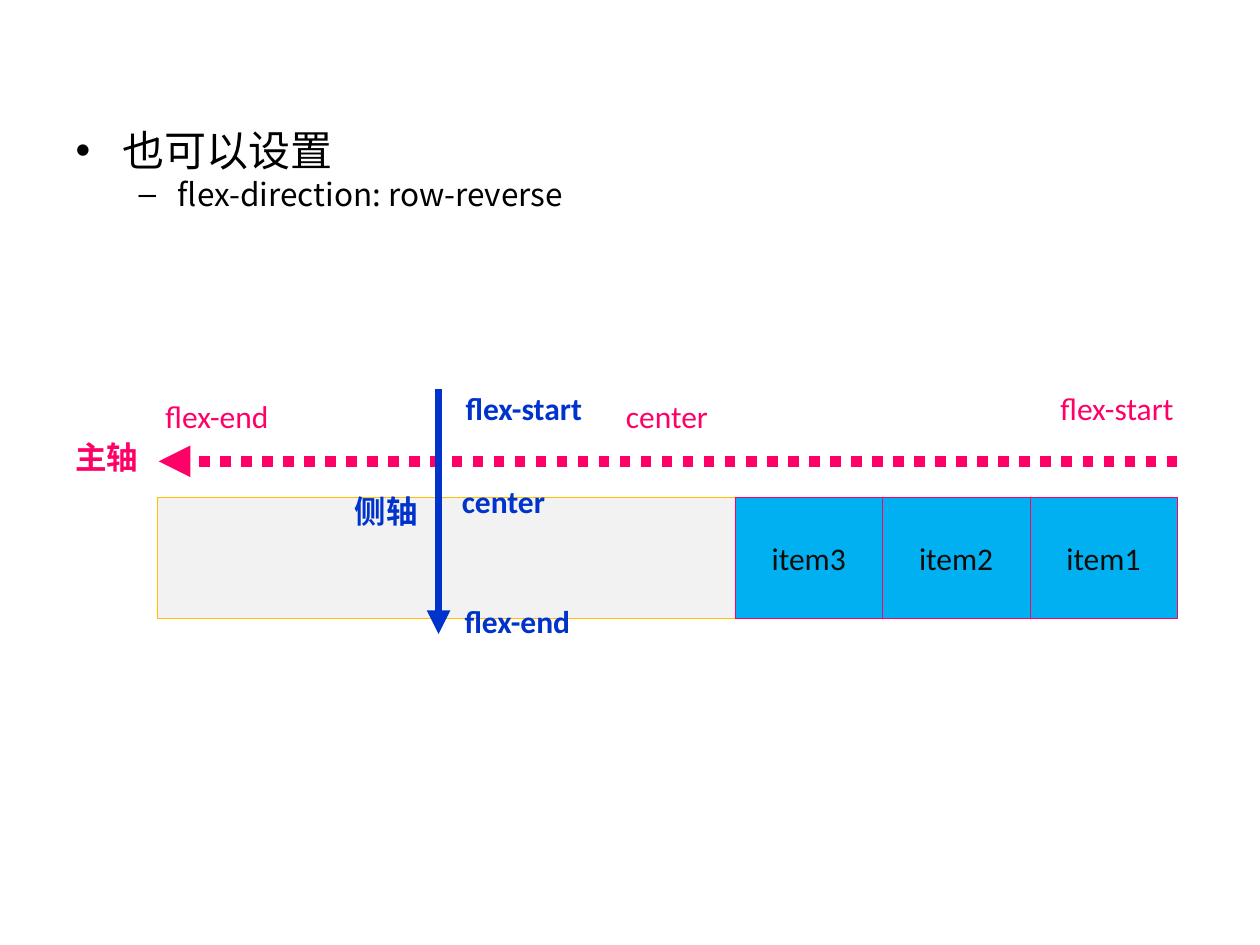
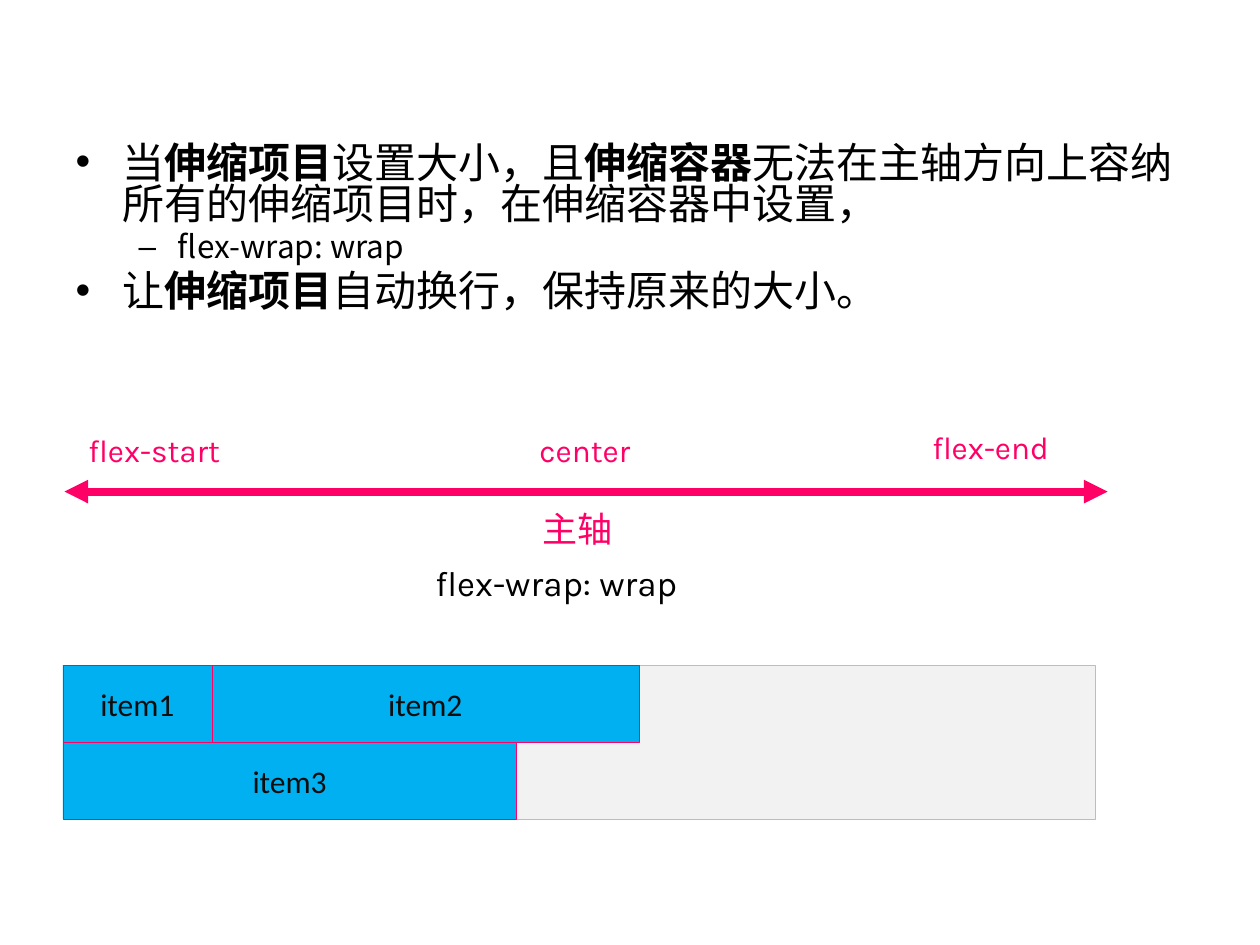
from pptx import Presentation
from pptx.dml.color import RGBColor
from pptx.enum.dml import MSO_LINE
from pptx.enum.shapes import MSO_CONNECTOR, MSO_SHAPE
from pptx.enum.text import MSO_ANCHOR, MSO_AUTO_SIZE, PP_ALIGN
from pptx.oxml.ns import qn
from pptx.util import Cm, Pt
from lxml.etree import SubElement

BLACK = RGBColor(0x00, 0x00, 0x00)
ITEM_TEXT = RGBColor(0x0D, 0x0D, 0x0D)
ITEM_FILL = RGBColor(0x00, 0xB0, 0xF0)
BOX_FILL = RGBColor(0xF2, 0xF2, 0xF2)
BOX_LINE = RGBColor(0xFF, 0xC0, 0x00)
PINK = RGBColor(0xFF, 0x00, 0x66)
BLUE = RGBColor(0x00, 0x33, 0xCC)

LATIN, KARLA = "Calibri", "Karla"
CJK, CJK_JP = "Noto Sans CJK SC", "Noto Sans CJK JP"
LABEL_HEIGHT = 1.02
LEVEL_SIZES = (24, 18)


def add_run(p, text, size, color, font, bold=False):
    r = p.add_run()
    r.text = text
    r.font.size = Pt(size)
    r.font.bold = bold
    r.font.color.rgb = color
    r.font.name = font
    SubElement(r.font._element, qn("a:ea")).set("typeface", font)


def add_body_slide(prs, top, height, paragraphs):
    """Add a slide with a bullet list of (level, [(text, bold), ...])."""
    slide = prs.slides.add_slide(prs.slide_layouts[1])
    title = slide.shapes.title._element
    title.getparent().remove(title)
    body = slide.placeholders[1]
    body.left, body.top = Cm(1.27), Cm(top)
    body.width, body.height = Cm(22.86), Cm(height)
    tf = body.text_frame
    tf.auto_size = MSO_AUTO_SIZE.NONE
    for i, (level, runs) in enumerate(paragraphs):
        p = tf.add_paragraph() if i else tf.paragraphs[0]
        p.level = level
        p.line_spacing = 0.82
        if i == 0:
            p.space_before = Pt(0)
        for text, bold in runs:
            add_run(p, text, LEVEL_SIZES[level], BLACK, CJK, bold)
    return slide


def add_box(slide, left, top, width, height, fill, line):
    sp = slide.shapes.add_shape(MSO_SHAPE.ROUNDED_RECTANGLE, Cm(left), Cm(top),
                                Cm(width), Cm(height))
    sp.adjustments[0] = 0
    sp.shadow.inherit = False
    sp.fill.solid()
    sp.fill.fore_color.rgb = fill
    sp.line.color.rgb = line
    sp.line.width = Pt(0.25)
    return sp


def add_container(slide, left, top, width, height):
    add_box(slide, left, top, width, height, BOX_FILL, BOX_LINE)


def add_item(slide, number, left, top, width, height):
    tf = add_box(slide, left, top, width, height, ITEM_FILL, PINK).text_frame
    tf.vertical_anchor = MSO_ANCHOR.MIDDLE
    p = tf.paragraphs[0]
    p.alignment = PP_ALIGN.CENTER
    add_run(p, f"item{number}", 18, ITEM_TEXT, LATIN)


def add_label(slide, text, left, top, width, color, font=LATIN, size=18,
              bold=False, align=PP_ALIGN.CENTER):
    box = slide.shapes.add_textbox(Cm(left), Cm(top), Cm(width), Cm(LABEL_HEIGHT))
    tf = box.text_frame
    tf.word_wrap = True
    p = tf.paragraphs[0]
    p.alignment = align
    add_run(p, text, size, color, font, bold)


def add_axis(slide, start, end, color, width, ends=("tailEnd",), dash=None):
    line = slide.shapes.add_connector(MSO_CONNECTOR.STRAIGHT, Cm(start[0]),
                                      Cm(start[1]), Cm(end[0]), Cm(end[1]))
    line.line.color.rgb = color
    line.line.width = Pt(width)
    if dash:
        line.line.dash_style = dash
    ln = line.line._get_or_add_ln()
    for tag in ends:
        SubElement(ln, qn(f"a:{tag}")).set("type", "triangle")
    SubElement(line._element.spPr, qn("a:effectLst"))


def build_row_reverse(prs):
    slide = add_body_slide(prs, 2.57, 15.8, [
        (0, [("也可以设置", False)]),
        (1, [("flex-direction: row-reverse", False)]),
    ])
    left, top, width, height = 3.18, 10.03, 20.55, 2.44
    right, item_width = left + width, 2.97
    add_container(slide, left, top, width, height)
    for n in (1, 2, 3):
        add_item(slide, n, right - n * item_width, top, item_width, height)

    add_axis(slide, (right, 9.3), (3.2, 9.3), PINK, 6, dash=MSO_LINE.ROUND_DOT)
    for text, x, y in (("flex-start", 20.55, 7.72), ("flex-end", 2.41, 7.87),
                       ("center", 11.48, 7.87)):
        add_label(slide, text, x, y, 3.93, PINK)
    add_label(slide, "主轴", 1.27, 8.71, 2.26, PINK, CJK, bold=True,
              align=PP_ALIGN.LEFT)

    add_axis(slide, (8.84, 7.85), (8.84, 12.78), BLUE, 4.5)
    add_label(slide, "侧轴", 6.68, 9.8, 2.21, BLUE, CJK, bold=True)
    for text, x, y in (("flex-start", 8.56, 7.72), ("center", 8.15, 9.6),
                       ("flex-end", 8.43, 12.01)):
        add_label(slide, text, x, y, 4, BLUE, bold=True)


def build_wrap(prs):
    slide = add_body_slide(prs, 2.8, 6.99, [
        (0, [("当", False), ("伸缩项目", True), ("设置大小，且", False),
             ("伸缩容器", True),
             ("无法在主轴方向上容纳所有的伸缩项目时，在伸缩容器中设置，", False)]),
        (1, [("flex-wrap: wrap", False)]),
        (0, [("让", False), ("伸缩项目", True),
             ("自动换行，保持原来的大小。", False)]),
    ])
    left, top, row_height = 1.27, 13.41, 1.55
    add_container(slide, left, top, 20.8, 2 * row_height)
    number = 0
    for row, widths in enumerate(((3, 8.61), (9.14,))):
        x = left
        for width in widths:
            number += 1
            add_item(slide, number, x, top + row * row_height, width, row_height)
            x += width

    add_label(slide, "flex-wrap: wrap", 8.53, 11.2, 6.35, BLACK, KARLA, 20,
              align=PP_ALIGN.LEFT)
    for text, x, y in (("flex-start", 1.12, 8.56), ("flex-end", 17.98, 8.51),
                       ("center", 9.8, 8.56)):
        add_label(slide, text, x, y, 3.98, PINK, KARLA)
    add_axis(slide, (1.3, 9.91), (22.33, 9.91), PINK, 4.5, ("headEnd", "tailEnd"))
    add_label(slide, "主轴", 9.73, 10.11, 3.81, PINK, CJK_JP, 20)


def main():
    prs = Presentation()
    prs.slide_width, prs.slide_height = Cm(25.4), Cm(19.05)
    build_row_reverse(prs)
    build_wrap(prs)
    prs.save("out.pptx")


if __name__ == "__main__":
    main()
